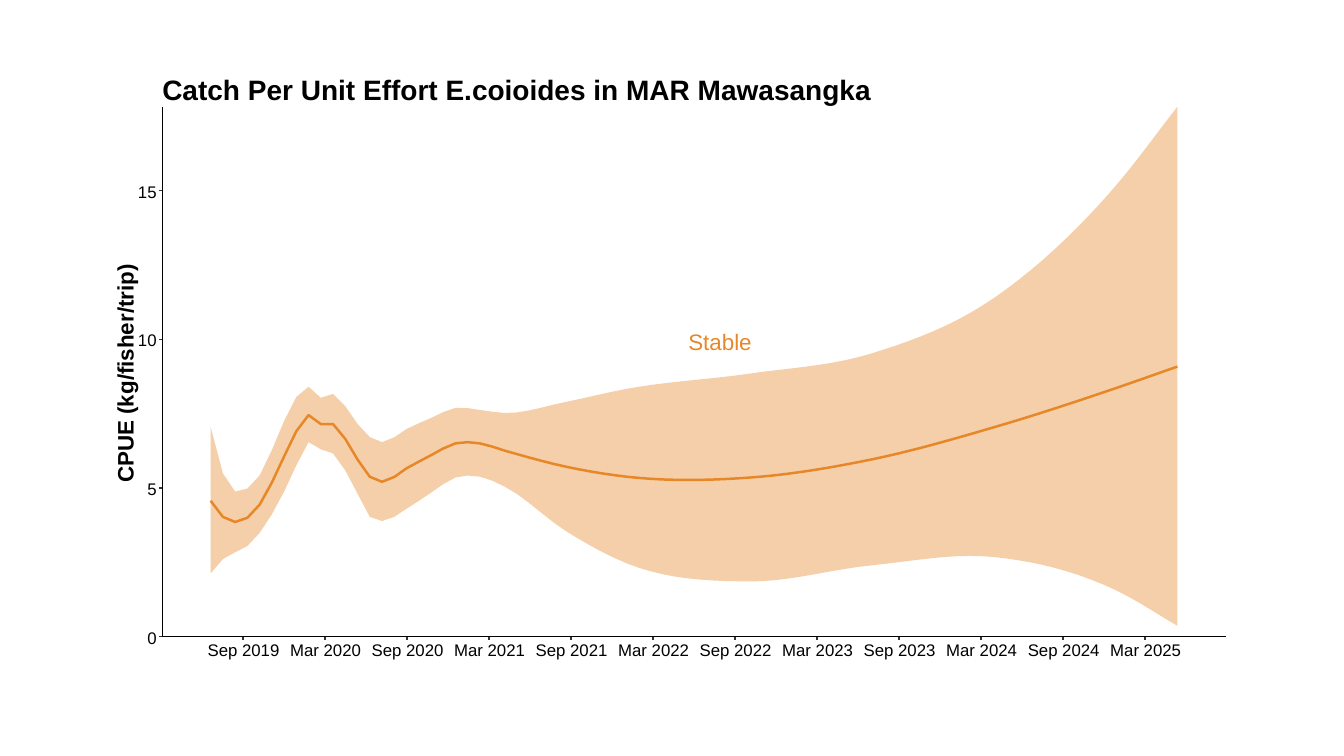
from lxml import etree
from pptx import Presentation
from pptx.dml.color import RGBColor
from pptx.enum.shapes import MSO_CONNECTOR
from pptx.enum.text import MSO_ANCHOR, MSO_AUTO_SIZE, PP_ALIGN
from pptx.oxml.ns import qn
from pptx.util import Pt

STRAIGHT = MSO_CONNECTOR.STRAIGHT
TOP = MSO_ANCHOR.TOP
FIXED_SIZE = MSO_AUTO_SIZE.NONE
LEFT, CENTER, RIGHT = PP_ALIGN.LEFT, PP_ALIGN.CENTER, PP_ALIGN.RIGHT

FONT = "Arial"
ORANGE, BLACK, GREY = "E78828", "000000", "333333"

# Axes, in points
AXIS_LEFT, AXIS_RIGHT = 115.92, 875.52
AXIS_TOP, AXIS_BOTTOM = 76.32, 454.9
AXIS_WIDTH, TICK_LENGTH = 0.89, 2.2
FIRST_DATE_X, DATE_STEP = 173.52, 58.58
POINTS_PER_CPUE = 21.26
CPUE_TICKS = range(0, 16, 5)
DATES = [f"{month} {year}" for year in range(2019, 2026)
         for month in ("Mar", "Sep")][1:-1]

# The curves run in equal time steps; values between key steps are interpolated
CURVE_LEFT, CURVE_RIGHT = 150.48, 840.96
LAST_STEP = 79
CPUE_BY_STEP = {  # step: (upper limit, trend, lower limit)
    0: (7.04, 4.57, 2.13),
    1: (5.49, 4.03, 2.61),
    2: (4.88, 3.86, 2.84),
    3: (4.98, 4.00, 3.05),
    4: (5.42, 4.44, 3.49),
    6: (7.25, 6.06, 4.88),
    7: (8.06, 6.91, 5.76),
    8: (8.40, 7.45, 6.54),
    9: (8.03, 7.15, 6.30),
    10: (8.16, 7.15, 6.16),
    12: (7.15, 5.96, 4.81),
    13: (6.71, 5.38, 4.03),
    14: (6.54, 5.21, 3.89),
    16: (6.98, 5.66, 4.30),
    18: (7.35, 6.10, 4.84),
    20: (7.69, 6.50, 5.35),
    22: (7.62, 6.50, 5.38),
    24: (7.52, 6.26, 5.05),
    29: (7.89, 5.72, 3.56),
    34: (8.33, 5.38, 2.47),
    44: (8.84, 5.35, 1.86),
    54: (9.52, 5.96, 2.40),
    64: (11.38, 7.04, 2.68),
    74: (15.17, 8.36, 1.56),
    79: (17.81, 9.08, 0.37),
}


def color(hex_string):
    return RGBColor.from_string(hex_string)


def cpue_y(cpue):
    return AXIS_BOTTOM - cpue * POINTS_PER_CPUE


def step_x(step):
    return CURVE_LEFT + step * (CURVE_RIGHT - CURVE_LEFT) / LAST_STEP


def knot_slopes(steps, values):
    """Slope at each knot: the gaps beside it, the nearer one weighing more."""
    gaps = [b - a for a, b in zip(steps, steps[1:])]
    slopes = [(b - a) / gap for a, b, gap in zip(values, values[1:], gaps)]
    inner = [(slopes[i] * gaps[i + 1] + slopes[i + 1] * gaps[i])
             / (gaps[i] + gaps[i + 1]) for i in range(len(gaps) - 1)]
    return [slopes[0], *inner, slopes[-1]]


def interpolate(steps, values):
    """Value at every step, by cubic Hermite curves between the knots."""
    slopes = knot_slopes(steps, values)
    result = []
    for i, (start, end) in enumerate(zip(steps, steps[1:])):
        gap = end - start
        for step in range(start, end):
            t = (step - start) / gap
            blend = t * t * (3 - 2 * t)
            bend = t * (1 - t) * ((1 - t) * slopes[i] - t * slopes[i + 1])
            result.append(values[i] * (1 - blend) + values[i + 1] * blend + gap * bend)
    return result + [values[-1]]


def curve_points(values):
    cpues = interpolate(list(CPUE_BY_STEP), values)
    return [(Pt(step_x(step)), Pt(cpue_y(cpue))) for step, cpue in enumerate(cpues)]


def add_outline(slide, points, closed):
    builder = slide.shapes.build_freeform(*points[0], scale=1.0)
    builder.add_line_segments(points[1:], close=closed)
    shape = builder.convert_to_shape()
    shape.shadow.inherit = False
    return shape


def add_band(slide, points, hex_string, opacity):
    band = add_outline(slide, points, True)
    band.fill.solid()
    band.fill.fore_color.rgb = color(hex_string)
    band.line.fill.background()
    solid_color = band._element.spPr.find(".//" + qn("a:srgbClr"))
    etree.SubElement(solid_color, qn("a:alpha"), val=str(opacity * 1000))


def add_curve(slide, points, hex_string, width):
    curve = add_outline(slide, points, False)
    curve.fill.background()
    curve.line.color.rgb = color(hex_string)
    curve.line.width = Pt(width)


def add_line(slide, x1, y1, x2, y2, hex_string):
    connector = slide.shapes.add_connector(STRAIGHT, Pt(x1), Pt(y1), Pt(x2), Pt(y2))
    connector.line.color.rgb = color(hex_string)
    connector.line.width = Pt(AXIS_WIDTH)
    etree.SubElement(connector._element.spPr, qn("a:effectLst"))


def format_text(shape, text, size, hex_string, alignment, bold):
    frame = shape.text_frame
    frame.text = text
    frame.word_wrap = False
    frame.auto_size = FIXED_SIZE
    frame.vertical_anchor = TOP
    paragraph = frame.paragraphs[0]
    paragraph.alignment = alignment
    paragraph.font.name = FONT
    paragraph.font.size = Pt(size)
    paragraph.font.bold = bold
    paragraph.font.color.rgb = color(hex_string)


def add_label(slide, box, text, size, hex_string=BLACK, alignment=CENTER, bold=False):
    label = slide.shapes.add_textbox(*map(Pt, box))
    format_text(label, text, size, hex_string, alignment, bold)
    return label


def set_title(slide, box, text):
    title = slide.shapes.title
    title.left, title.top, title.width, title.height = map(Pt, box)
    format_text(title, text, 20, BLACK, LEFT, True)


def add_cpue_axis(slide):
    add_line(slide, AXIS_LEFT, AXIS_BOTTOM, AXIS_LEFT, AXIS_TOP, BLACK)
    for cpue in CPUE_TICKS:
        y = cpue_y(cpue)
        add_line(slide, AXIS_LEFT - TICK_LENGTH, y, AXIS_LEFT, y, GREY)
        add_label(slide, (91, y - 10, 28, 21.6), str(cpue), 12, alignment=RIGHT)
    axis_title = add_label(slide, (2.9, 253.4, 172.8, 26.6), "CPUE (kg/fisher/trip)",
                           16, bold=True)
    axis_title.rotation = 270


def add_date_axis(slide):
    add_line(slide, AXIS_LEFT, AXIS_BOTTOM, AXIS_RIGHT, AXIS_BOTTOM, BLACK)
    for i, date in enumerate(DATES):
        x = FIRST_DATE_X + i * DATE_STEP
        add_line(slide, x, AXIS_BOTTOM + TICK_LENGTH, x, AXIS_BOTTOM, GREY)
        add_label(slide, (x - 32.5, 453.2, 66, 21.6), date, 12)


def main():
    presentation = Presentation()
    presentation.slide_width, presentation.slide_height = Pt(960), Pt(540)
    slide = presentation.slides.add_slide(presentation.slide_layouts[5])
    set_title(slide, (108.7, 48.2, 524.9, 31.7),
              "Catch Per Unit Effort E.coioides in MAR Mawasangka")

    # Confidence band and trend
    upper, trend, lower = map(curve_points, zip(*CPUE_BY_STEP.values()))
    add_band(slide, upper + lower[::-1], ORANGE, 40)
    add_curve(slide, trend, ORANGE, 1.78)
    add_label(slide, (484.1, 231.1, 60.5, 26.6), "Stable", 16, ORANGE)

    # Axes
    add_cpue_axis(slide)
    add_date_axis(slide)
    presentation.save("out.pptx")


if __name__ == "__main__":
    main()
